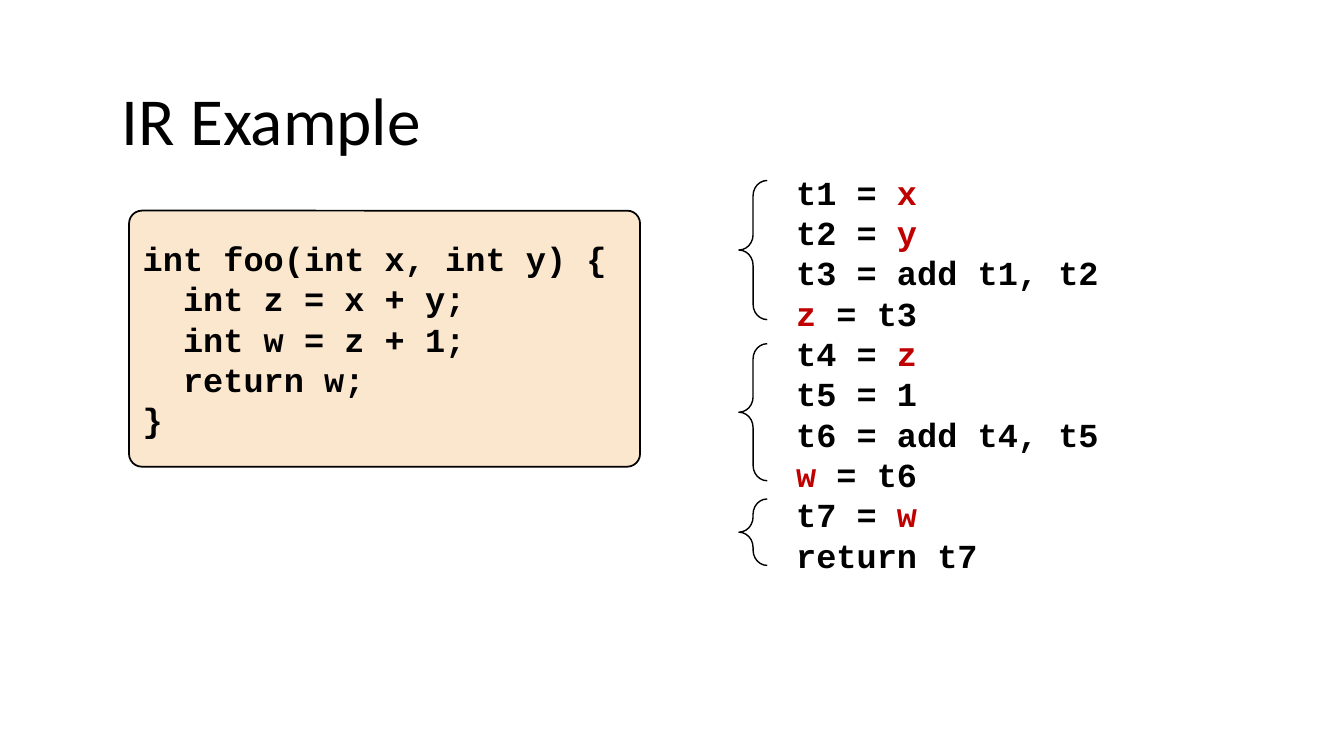
from pptx import Presentation
from pptx.dml.color import RGBColor
from pptx.enum import shapes, text
from pptx.util import Pt

BLACK = RGBColor(0x00, 0x00, 0x00)
RED = RGBColor(0xC0, 0x00, 0x00)
CREAM = RGBColor(0xFB, 0xE6, 0xCE)

SOURCE_CODE = [
    "int foo(int x, int y) {",
    "  int z = x + y;",
    "  int w = z + 1;",
    "  return w;",
    "}",
]
# Each IR line is a list of runs; program variables are shown in red.
VARIABLES = {"x", "y", "z", "w"}
IR_CODE = [
    ["t1 = ", "x"],
    ["t2 = ", "y"],
    ["t3 = add t1, t2"],
    ["z", " = t3"],
    ["t4 = ", "z"],
    ["t5 = 1"],
    ["t6 = add t4, t5"],
    ["w", " = t6"],
    ["t7 = ", "w"],
    ["return t7"],
]
# Top and height of the brace beside each translated statement.
BRACES = [(128.9, 99.4), (245.5, 97.9), (356.4, 47.5)]


def style_run(r, font, size, color, bold=False):
    """Set the typeface, size, colour and weight of a run."""
    r.font.name = font
    r.font.size = Pt(size)
    r.font.color.rgb = color
    r.font.bold = bold


def add_textbox(s, left, top, width, height):
    """Add a wrapping text box and return its text frame."""
    tf = s.shapes.add_textbox(Pt(left), Pt(top), Pt(width), Pt(height)).text_frame
    tf.word_wrap = True
    return tf


def add_title(s, title):
    """Add the slide title."""
    tf = add_textbox(s, 79.9, 52.6, 798.5, 65.5)
    tf.text = title
    style_run(tf.paragraphs[0].runs[0], "Calibri", 48, BLACK)


def fill_code(tf, lines):
    """Write lines of code, each a list of runs, into a text frame."""
    for i, line in enumerate(lines):
        p = tf.paragraphs[0] if i == 0 else tf.add_paragraph()
        p.alignment = text.PP_ALIGN.LEFT
        p.line_spacing = Pt(28.8)
        for piece in line:
            r = p.add_run()
            r.text = piece
            style_run(r, "Courier New", 24, RED if piece in VARIABLES else BLACK, True)


def add_outlined(s, kind, left, top, width, height, line_width, fill=None):
    """Add a black-outlined preset shape, filled only if a colour is given."""
    sp = s.shapes.add_shape(kind, Pt(left), Pt(top), Pt(width), Pt(height))
    sp.shadow.inherit = False
    sp.line.color.rgb = BLACK
    sp.line.width = Pt(line_width)
    if fill is None:
        sp.fill.background()
    else:
        sp.fill.solid()
        sp.fill.fore_color.rgb = fill
    return sp


def add_source_panel(s):
    """Add the rounded panel holding the source function."""
    sp = add_outlined(s, shapes.MSO_SHAPE.ROUNDED_RECTANGLE,
                      92.2, 150.5, 365, 182.9, 1.25, CREAM)
    sp.adjustments[0] = 0.05
    sp.text_frame.vertical_anchor = text.MSO_ANCHOR.MIDDLE
    fill_code(sp.text_frame, [[line] for line in SOURCE_CODE])


def add_brace(s, top, height):
    """Add a left brace grouping the IR of one statement."""
    sp = add_outlined(s, shapes.MSO_SHAPE.LEFT_BRACE, 527.8, top, 20.2, height, 1)
    sp.adjustments[0] = 0.54
    sp.adjustments[1] = 0.5


def main():
    """Build the slide and save it."""
    prs = Presentation()
    prs.slide_width, prs.slide_height = Pt(960), Pt(540)
    s = prs.slides.add_slide(prs.slide_layouts[6])
    add_title(s, "IR Example")
    add_source_panel(s)
    fill_code(add_textbox(s, 561.6, 119, 372.2, 326.9), IR_CODE)
    for top, height in BRACES:
        add_brace(s, top, height)
    prs.save("out.pptx")


main()
